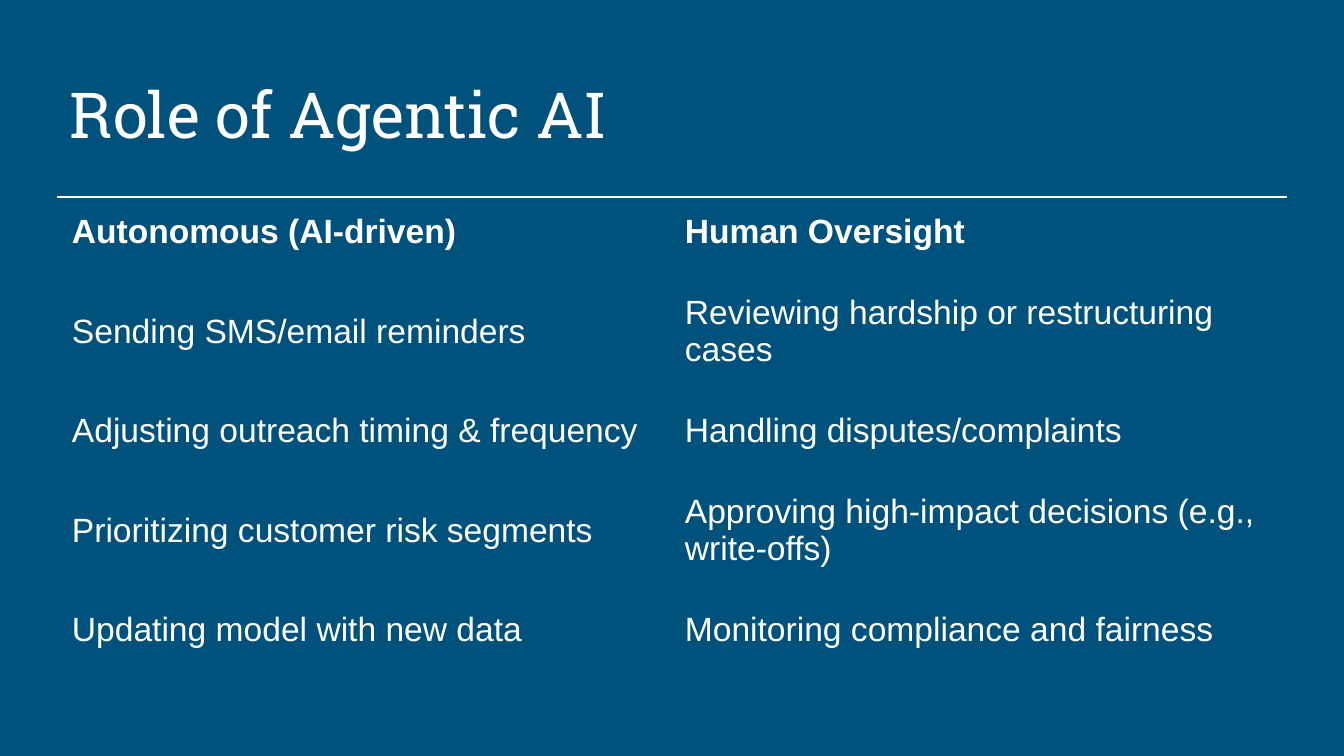
from pptx import Presentation, util as u
from pptx.dml import color
from pptx.enum import text
from pptx.oxml import ns, parse_xml

SCALE = 914400 / 134.4
NO_STYLE = "{2D5ABB26-0587-4C30-8999-92F81FD0307C}"
ROWS = [
    ("Autonomous (AI-driven)", "Human Oversight"),
    ("Sending SMS/email reminders", "Reviewing hardship or restructuring cases"),
    ("Adjusting outreach timing & frequency", "Handling disputes/complaints"),
    ("Prioritizing customer risk segments",
     "Approving high-impact decisions (e.g., write-offs)"),
    ("Updating model with new data", "Monitoring compliance and fairness"),
]


def px(n):
    return u.Emu(round(n * SCALE))


def rgb(value):
    return color.RGBColor.from_string(value)


def apply(obj, values):
    for name, value in values.items():
        setattr(obj, name, value)


class Deck:
    """Holds the style and the current slide."""

    ink, ground = "FFFFFF", "00517C"
    title_font = {"name": "Roboto Slab", "size": u.Pt(34)}
    body_font = {"name": "Arial", "size": u.Pt(18)}
    sides = ("left", "top", "right", "bottom")

    def __init__(self, prs):
        self.s = prs.slides.add_slide(prs.slide_layouts[6])
        fill = self.s.background.fill
        fill.solid()
        fill.fore_color.rgb = rgb(self.ground)

    def margins(self, obj, insets):
        apply(obj, {f"margin_{k}": px(n) for k, n in zip(self.sides, insets)})

    def add_words(self, tf, words, font):
        p = tf.paragraphs[0]
        r = p.add_run()
        r.text = words
        apply(r.font, font)
        r.font.color.rgb = rgb(self.ink)
        return p

    def title(self, box, words):
        tf = self.s.shapes.add_textbox(*map(px, box)).text_frame
        apply(tf, {"word_wrap": True, "vertical_anchor": text.MSO_ANCHOR.MIDDLE})
        self.margins(tf, (13, 13, 13, 13))
        self.add_words(tf, words, self.title_font).line_spacing = 0.9

    def top_border(self, cell):
        cell._tc.get_or_add_tcPr().insert(0, parse_xml(
            f'<a:lnT {ns.nsdecls("a")} w="12700"><a:solidFill>'
            f'<a:srgbClr val="{self.ink}"/></a:solidFill></a:lnT>'))

    def table(self, left, top, widths, heights, rows):
        box = (left, top, sum(widths), sum(heights))
        sp = self.s.shapes.add_table(len(rows), len(widths), *map(px, box))
        table = sp.table
        apply(table, {"first_row": False, "horz_banding": False})
        table._tbl.tblPr.find(ns.qn("a:tableStyleId")).text = NO_STYLE
        for column, width in zip(table.columns, widths):
            column.width = px(width)
        for i, (row, height, words) in enumerate(zip(table.rows, heights, rows)):
            row.height = px(height)
            for cell, entry in zip(row.cells, words):
                cell.fill.background()
                cell.vertical_anchor = text.MSO_ANCHOR.MIDDLE
                self.margins(cell, (15, 11, 11, 20))
                self.add_words(cell.text_frame, entry, {**self.body_font, "bold": i == 0})
                if i == 0:
                    self.top_border(cell)


def main():
    prs = Presentation()
    apply(prs, {"slide_width": px(1344), "slide_height": px(756)})
    deck = Deck(prs)
    deck.title((57, 67, 1230, 101), "Role of Agentic AI")
    deck.table(57, 197, (613, 617), (79, 120, 79, 120, 79), ROWS)
    prs.save("out.pptx")


if __name__ == "__main__":
    main()
